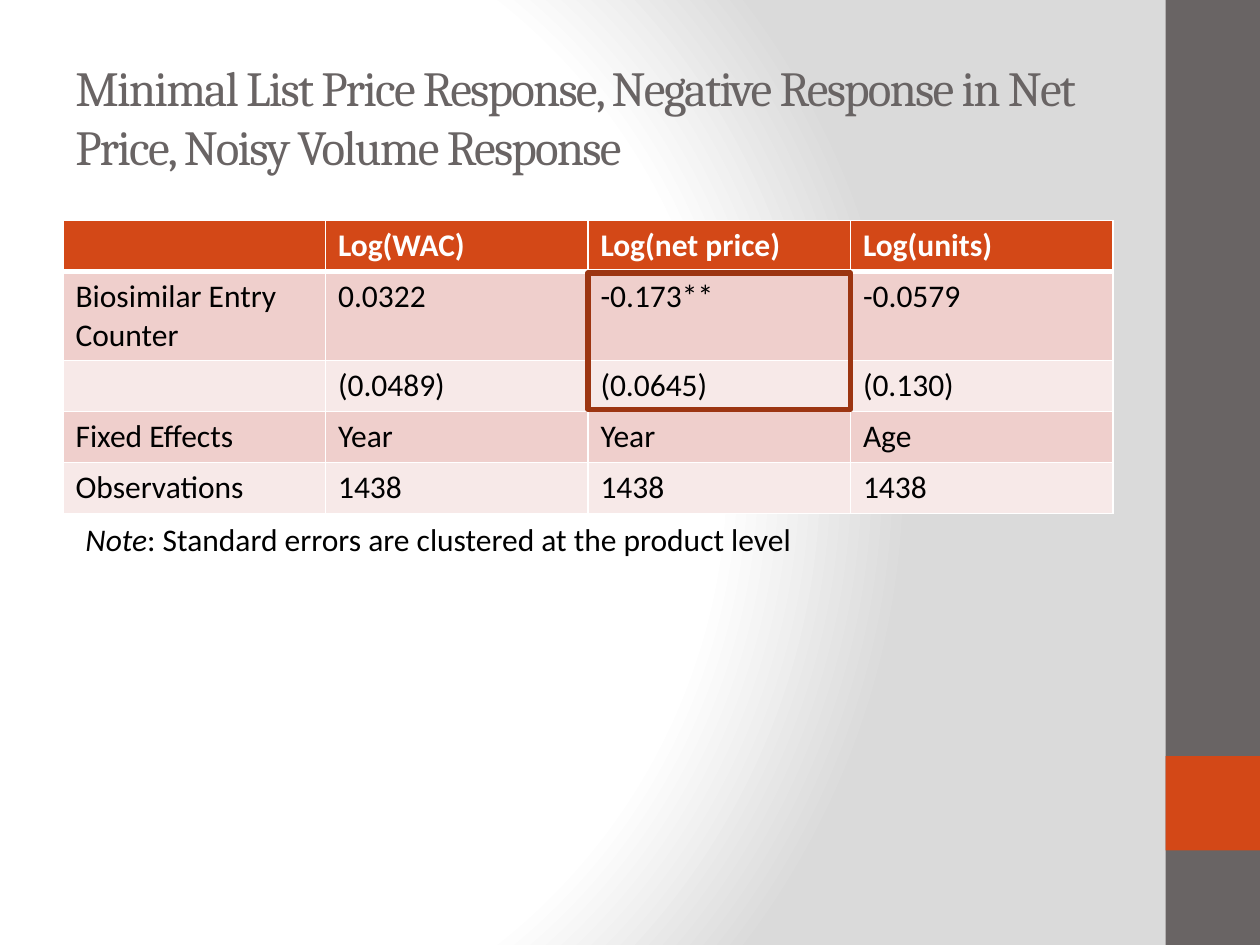
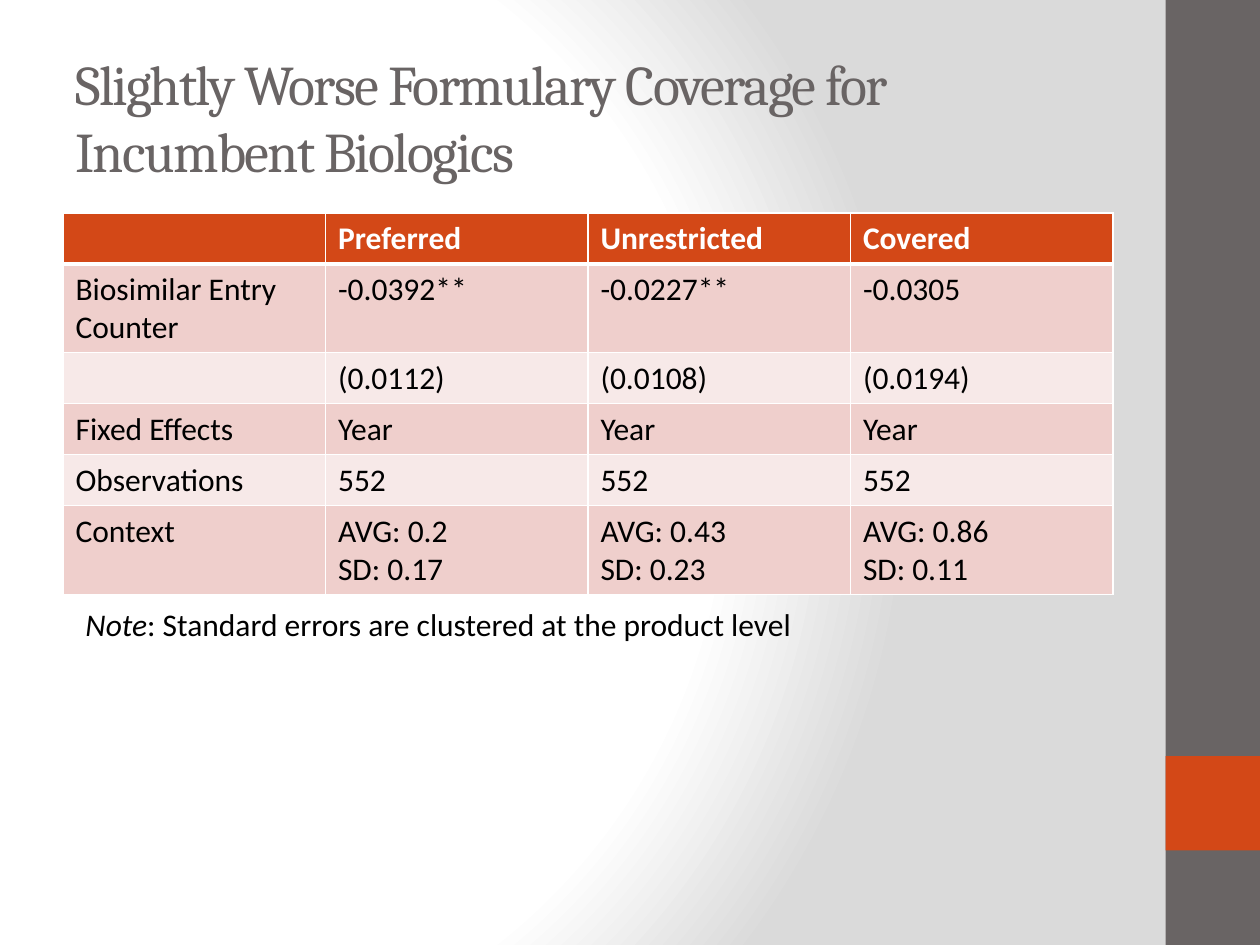
"""Build two regression-result slides that share one look."""
from dataclasses import dataclass
from typing import Optional

from lxml import etree
from pptx import Presentation
from pptx.dml.color import RGBColor
from pptx.enum.shapes import MSO_SHAPE
from pptx.enum.text import MSO_ANCHOR
from pptx.oxml import parse_xml
from pptx.oxml.ns import qn
from pptx.util import Inches, Length, Pt

RECT = MSO_SHAPE.RECTANGLE
MIDDLE = MSO_ANCHOR.MIDDLE

COLORS = {
    "title": "696464", "band": "696464", "accent": "D34817", "highlight": "9C3511",
    "row_dark": "EFCFCC", "row_light": "F7E9E8",
    "white": "FFFFFF", "grey": "DADADA", "text": "000000",
}
TITLE_FONT, BODY_FONT = "Cambria", "Calibri"
BODY_SIZE = 18

# The slide is a grid of 40 columns by 30 rows.
COLS, ROWS = 40, 30
SLIDE_W, SLIDE_H = Inches(10), Inches(7.5)
LEFT, WIDTH = 2, 33.33
BAND_LEFT, BAND_WIDTH = 37, 3
LINE_ROW, TWO_LINE_ROW = 1.62, 2.82

GRADIENT_STOPS = ((0, "white"), (75, "white"), (100, "grey"))
NOTE = ("Note", ": Standard errors are clustered at the product level")


@dataclass(frozen=True)
class Box:
    """A rectangle in grid columns and rows."""
    left: float
    top: float
    width: float
    height: float

    def emu(self) -> tuple[Length, ...]:
        """Return left, top, width and height as lengths."""
        return col(self.left), row(self.top), col(self.width), row(self.height)


@dataclass(frozen=True)
class ResultSlide:
    """Content of one slide with a table of estimates."""
    title: str
    title_size: int
    table_top: float
    note_top: float
    cells: list[list[str]]
    highlight: Optional[Box] = None


def col(n: float) -> Length:
    """Width of n grid columns."""
    return Length(round(SLIDE_W * n / COLS))


def row(n: float) -> Length:
    """Height of n grid rows."""
    return Length(round(SLIDE_H * n / ROWS))


def rgb(name: str) -> RGBColor:
    """Look up a named colour."""
    return RGBColor.from_string(COLORS[name])


def style_run(r, font: str, size: int, color: str, bold=False, italic=False) -> None:
    """Format one run."""
    r.font.name, r.font.size = font, Pt(size)
    r.font.bold, r.font.italic = bold, italic
    r.font.color.rgb = rgb(color)


def set_background(master) -> None:
    """Give the master the circular gradient behind all slides."""
    master.background.fill.solid()
    stops = "".join(
        f'<a:gs pos="{pos * 1000}"><a:srgbClr val="{COLORS[name]}"/></a:gs>'
        for pos, name in GRADIENT_STOPS)
    bg = master.element.find(".//" + qn("p:bgPr"))
    bg.replace(bg[0], parse_xml(
        '<a:gradFill xmlns:a="http://schemas.openxmlformats.org/drawingml/2006/main"'
        f' rotWithShape="1"><a:gsLst>{stops}</a:gsLst><a:path path="circle">'
        '<a:fillToRect l="20000" t="50000" r="100000" b="50000"/></a:path></a:gradFill>'))


def add_rect(slide, box: Box, fill: Optional[str] = None, line: Optional[str] = None) -> None:
    """Draw a rectangle with a fill, or with a thick outline."""
    sp = slide.shapes.add_shape(RECT, *box.emu())
    sp.shadow.inherit = False
    if fill:
        sp.fill.solid()
        sp.fill.fore_color.rgb = rgb(fill)
    else:
        sp.fill.background()
    if line:
        sp.line.color.rgb = rgb(line)
        sp.line.width = Pt(3)
    else:
        sp.line.fill.background()


def add_text_box(slide, box: Box):
    """Add a wrapping text box and return its frame."""
    tf = slide.shapes.add_textbox(*box.emu()).text_frame
    tf.word_wrap = True
    return tf


def add_title(slide, text: str, size: int) -> None:
    """Add the slide title with tightened letters."""
    tf = add_text_box(slide, Box(LEFT, 1.2, WIDTH, 5))
    tf.vertical_anchor = MIDDLE
    tf.text = text
    r = tf.paragraphs[0].runs[0]
    style_run(r, TITLE_FONT, size, "title")
    r.font._element.set("spc", "-100")


def add_note(slide, top: float) -> None:
    """Add the note under the table, its first word in italics."""
    p = add_text_box(slide, Box(2.32, top, 33, 1.62)).paragraphs[0]
    for i, text in enumerate(NOTE):
        r = p.add_run()
        r.text = text
        style_run(r, BODY_FONT, BODY_SIZE, "text", italic=i == 0)


def set_borders(cell, top: int, bottom: int) -> None:
    """Draw white borders; the side borders are one point wide."""
    tc_pr = cell._tc.get_or_add_tcPr()
    for i, (side, width) in enumerate((("L", 1), ("R", 1), ("T", top), ("B", bottom))):
        ln = etree.Element(qn(f"a:ln{side}"), w=str(Pt(width)))
        fill = etree.SubElement(ln, qn("a:solidFill"))
        etree.SubElement(fill, qn("a:srgbClr"), val=COLORS["white"])
        tc_pr.insert(i, ln)


def add_table(slide, top: float, cells: list[list[str]]) -> None:
    """Add a table with a header row and alternating body rows."""
    heights = [TWO_LINE_ROW if i == 1 or any("\n" in text for text in line) else LINE_ROW
               for i, line in enumerate(cells)]
    n_cols = len(cells[0])
    box = Box(LEFT, top, WIDTH, sum(heights))
    table = slide.shapes.add_table(len(cells), n_cols, *box.emu()).table
    for column in table.columns:
        column.width = col(WIDTH / n_cols)
    for i, line in enumerate(cells):
        table.rows[i].height = row(heights[i])
        header = i == 0
        fill = "accent" if header else "row_dark" if i % 2 else "row_light"
        for j, text in enumerate(line):
            cell = table.cell(i, j)
            cell.fill.solid()
            cell.fill.fore_color.rgb = rgb(fill)
            set_borders(cell, top=3 if i == 1 else 1, bottom=3 if header else 1)
            cell.text_frame.text = text
            for p in cell.text_frame.paragraphs:
                for r in p.runs:
                    style_run(r, BODY_FONT, BODY_SIZE,
                              "white" if header else "text", bold=header)


def add_result_slide(prs, content: ResultSlide) -> None:
    """Build one slide on the blank layout."""
    slide = prs.slides.add_slide(prs.slide_layouts[6])
    add_rect(slide, Box(BAND_LEFT, 0, BAND_WIDTH, ROWS), fill="band")
    add_rect(slide, Box(BAND_LEFT, 24, BAND_WIDTH, 3), fill="accent")
    add_title(slide, content.title, content.title_size)
    add_table(slide, content.table_top, content.cells)
    add_note(slide, content.note_top)
    if content.highlight:
        add_rect(slide, content.highlight, line="highlight")


SLIDES = [
    ResultSlide(
        "Minimal List Price Response, Negative Response in Net Price, Noisy Volume Response",
        28, 7, 16.32,
        [["", "Log(WAC)", "Log(net price)", "Log(units)"],
         ["Biosimilar Entry Counter", "0.0322", "-0.173**", "-0.0579"],
         ["", "(0.0489)", "(0.0645)", "(0.130)"],
         ["Fixed Effects", "Year", "Year", "Age"],
         ["Observations", "1438", "1438", "1438"]],
        highlight=Box(LEFT + WIDTH / 2, 8.67, WIDTH / 4, 4.33)),
    ResultSlide(
        "Slightly Worse Formulary Coverage for Incumbent Biologics",
        32, 6.76, 19,
        [["", "Preferred", "Unrestricted", "Covered"],
         ["Biosimilar Entry Counter", "-0.0392**", "-0.0227**", "-0.0305"],
         ["", "(0.0112)", "(0.0108)", "(0.0194)"],
         ["Fixed Effects", "Year", "Year", "Year"],
         ["Observations", "552", "552", "552"],
         ["Context", "AVG: 0.2\nSD: 0.17", "AVG: 0.43\nSD: 0.23", "AVG: 0.86\nSD: 0.11"]]),
]


def main() -> None:
    """Build and save the presentation."""
    prs = Presentation()
    prs.slide_width, prs.slide_height = SLIDE_W, SLIDE_H
    set_background(prs.slide_master)
    for content in SLIDES:
        add_result_slide(prs, content)
    prs.save("out.pptx")


main()
